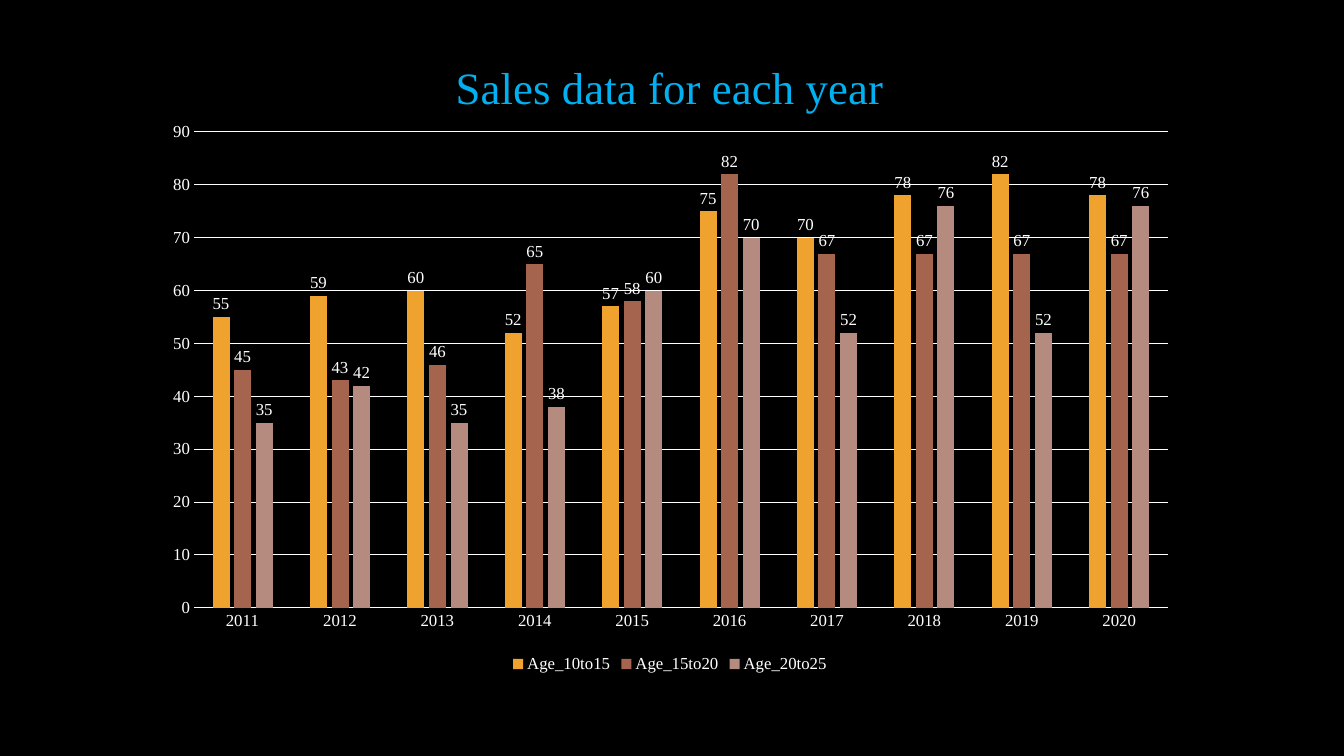
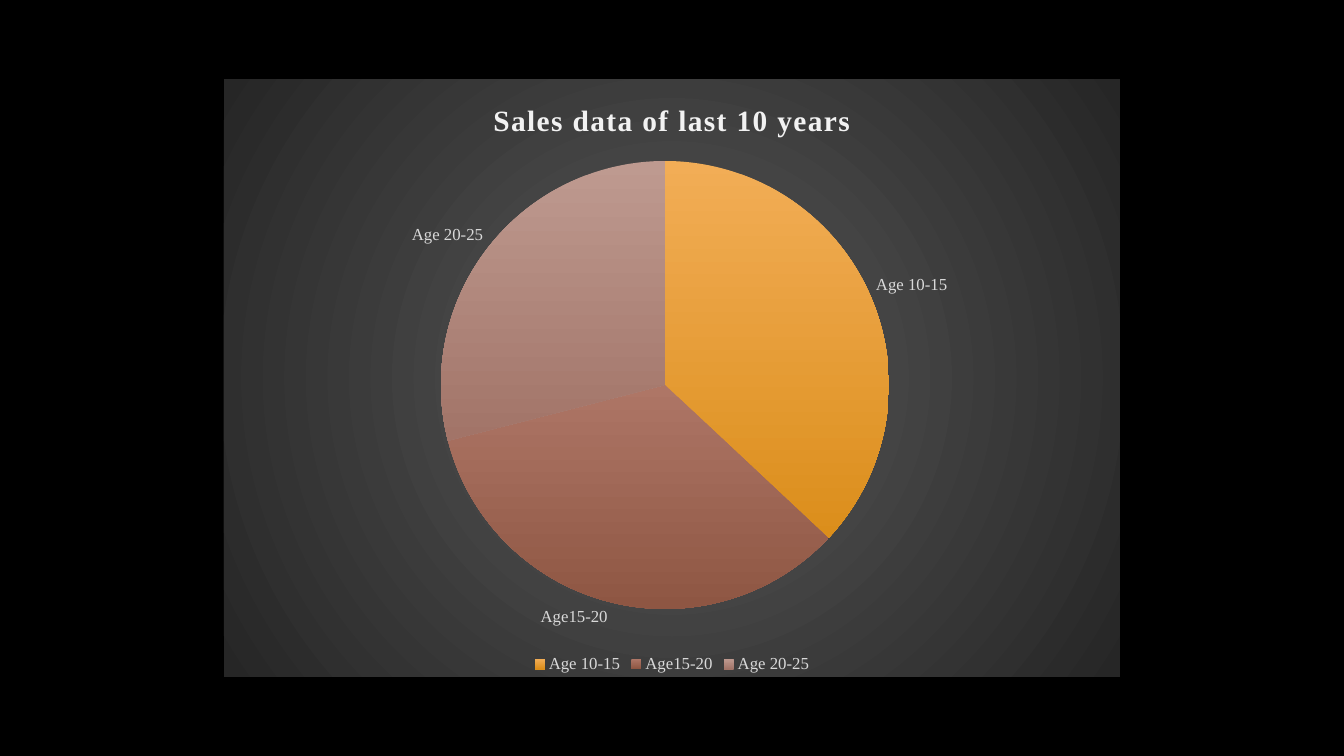
from lxml import etree
from pptx import Presentation
from pptx.chart.data import CategoryChartData
from pptx.dml.color import RGBColor
from pptx.enum.chart import (XL_CHART_TYPE, XL_LABEL_POSITION,
                             XL_LEGEND_POSITION, XL_TICK_MARK)
from pptx.oxml import parse_xml
from pptx.oxml.ns import nsdecls, qn
from pptx.util import Pt

SLIDE_W, SLIDE_H = 1344, 756
EMU_PER_PX = 12192000 / SLIDE_W
BLANK_LAYOUT = 6
FONT = "Times New Roman"

BLACK = RGBColor(0x00, 0x00, 0x00)
WHITE = RGBColor(0xFF, 0xFF, 0xFF)
NEAR_WHITE = RGBColor(0xF2, 0xF2, 0xF2)
LIGHT_GREY = RGBColor(0xD9, 0xD9, 0xD9)
MID_GREY = RGBColor(0x59, 0x59, 0x59)
DARK_GREY = RGBColor(0x26, 0x26, 0x26)
SKY_BLUE = RGBColor(0x00, 0xB0, 0xF0)
AGE_COLORS = [RGBColor(0xF0, 0xA2, 0x2E), RGBColor(0xA5, 0x64, 0x4E),
              RGBColor(0xB5, 0x8B, 0x80)]
AGE_GRADIENTS = [
    (RGBColor(0xF2, 0xAD, 0x56), RGBColor(0xDB, 0x8E, 0x1B)),
    (RGBColor(0xAE, 0x76, 0x66), RGBColor(0x8E, 0x56, 0x43)),
    (RGBColor(0xBE, 0x9A, 0x90), RGBColor(0xA2, 0x74, 0x68)),
]

COLUMN = XL_CHART_TYPE.COLUMN_CLUSTERED
PIE = XL_CHART_TYPE.PIE
OUTSIDE_END = XL_LABEL_POSITION.OUTSIDE_END
LEGEND_BOTTOM = XL_LEGEND_POSITION.BOTTOM
NO_TICK = XL_TICK_MARK.NONE

YEARS = [str(year) for year in range(2011, 2021)]
YEARLY_SALES = {
    "Age_10to15": [55, 59, 60, 52, 57, 75, 70, 78, 82, 78],
    "Age_15to20": [45, 43, 46, 65, 58, 82, 67, 67, 67, 67],
    "Age_20to25": [35, 42, 35, 38, 60, 70, 52, 76, 52, 76],
}
AGE_GROUPS = ["Age 10-15", "Age15-20", "Age 20-25"]
SALES_SHARES = {"Series 1": [37, 34, 29]}

NO_FILL = "<a:noFill/>"
RADIAL_FILL = f"""<a:gradFill><a:gsLst>
  <a:gs pos="0"><a:srgbClr val="{MID_GREY}"/></a:gs>
  <a:gs pos="100000"><a:srgbClr val="{DARK_GREY}"/></a:gs></a:gsLst>
  <a:path path="circle"><a:fillToRect l="50000" t="50000" r="50000" b="50000"/></a:path>
</a:gradFill>"""


def px(length):
    return round(length * EMU_PER_PX)


def style_font(font, size, color, bold=False):
    font.name = FONT
    font.size = Pt(size)
    font.bold = bold
    font.color.rgb = color


def add_slide(prs):
    slide = prs.slides.add_slide(prs.slide_layouts[BLANK_LAYOUT])
    background = slide.background.fill
    background.solid()
    background.fore_color.rgb = BLACK
    return slide


def add_styled_chart(slide, kind, box, categories, series, text_color, fill_xml):
    """Add a borderless chart with a legend below it."""
    data = CategoryChartData()
    data.categories = categories
    for name, values in series.items():
        data.add_series(name, values)
    chart = slide.shapes.add_chart(kind, *map(px, box), data).chart
    style_font(chart.font, 10, WHITE)
    chart.element.find(qn("c:chart")).addnext(parse_xml(
        f'<c:spPr {nsdecls("c", "a")}>{fill_xml}<a:ln><a:noFill/></a:ln></c:spPr>'))
    chart.has_legend = True
    chart.legend.position = LEGEND_BOTTOM
    chart.legend.include_in_layout = False
    style_font(chart.legend.font, 12, text_color)
    return chart


def add_title(chart, text, size, color, bold=False, spacing=0):
    """Set the chart title; spacing is in hundredths of a point."""
    chart.has_title = True
    chart.chart_title.include_in_layout = False
    run = chart.chart_title.text_frame.paragraphs[0].add_run()
    run.text = text
    style_font(run.font, size, color, bold)
    run.font._element.set("spc", str(spacing))


def pin_plot(chart, chart_box, plot_box):
    """Fix the inner plot area, both boxes being in slide px."""
    left, top, width, height = chart_box
    x, y, w, h = plot_box
    fractions = {"x": (x - left) / width, "y": (y - top) / height,
                 "w": w / width, "h": h / height}
    plot_area = chart.element.find(qn("c:chart")).find(qn("c:plotArea"))
    for old_layout in plot_area.findall(qn("c:layout")):
        plot_area.remove(old_layout)
    layout = etree.Element(qn("c:layout"))
    manual = etree.SubElement(layout, qn("c:manualLayout"))
    settings = [("layoutTarget", "inner"), ("xMode", "edge"), ("yMode", "edge")]
    settings += [(key, f"{value:.4f}") for key, value in fractions.items()]
    for tag, value in settings:
        etree.SubElement(manual, qn(f"c:{tag}")).set("val", value)
    plot_area.insert(0, layout)


def label_outside(labels, color, category=False):
    labels.show_value = not category
    labels.show_category_name = category
    labels.show_percentage = False
    labels.position = OUTSIDE_END
    style_font(labels.font, 12, color)


def style_axis(axis):
    axis.major_tick_mark = axis.minor_tick_mark = NO_TICK
    style_font(axis.tick_labels.font, 12, WHITE)


def style_line(line):
    line.color.rgb = WHITE
    line.width = Pt(0.75)


def add_yearly_sales(prs):
    box = (152, 33, 1036, 644)
    chart = add_styled_chart(add_slide(prs), COLUMN, box, YEARS, YEARLY_SALES,
                             WHITE, NO_FILL)
    add_title(chart, "Sales data for each year", 32, SKY_BLUE)
    pin_plot(chart, box, (194, 132, 974, 476))
    years, sales = chart.category_axis, chart.value_axis
    for axis in (years, sales):
        style_axis(axis)
    style_line(years.format.line)
    sales.format.line.fill.background()
    style_line(sales.major_gridlines.format.line)
    plot = chart.plots[0]
    plot.vary_by_categories = False
    plot.gap_width = 219
    plot.overlap = -27
    for age_group, color in zip(plot.series, AGE_COLORS):
        age_group.format.fill.solid()
        age_group.format.fill.fore_color.rgb = color
        label_outside(age_group.data_labels, WHITE)


def add_sales_shares(prs):
    box = (224, 79, 896, 598)
    chart = add_styled_chart(add_slide(prs), PIE, box, AGE_GROUPS, SALES_SHARES,
                             LIGHT_GREY, RADIAL_FILL)
    add_title(chart, "Sales data of last 10 years", 21, NEAR_WHITE, True, 100)
    pin_plot(chart, box, (441, 161, 448, 448))
    plot = chart.plots[0]
    plot.vary_by_categories = True
    shares = plot.series[0]
    for index, colors in enumerate(AGE_GRADIENTS):
        slice_format = shares.points[index].format
        slice_format.line.fill.background()
        slice_format.fill.gradient()
        slice_format.fill.gradient_angle = 270
        for stop, color in zip(slice_format.fill.gradient_stops, colors):
            stop.color.rgb = color
    label_outside(shares.data_labels, LIGHT_GREY, category=True)


def main():
    prs = Presentation()
    prs.slide_width, prs.slide_height = px(SLIDE_W), px(SLIDE_H)
    add_yearly_sales(prs)
    add_sales_shares(prs)
    prs.save("out.pptx")


if __name__ == "__main__":
    main()
